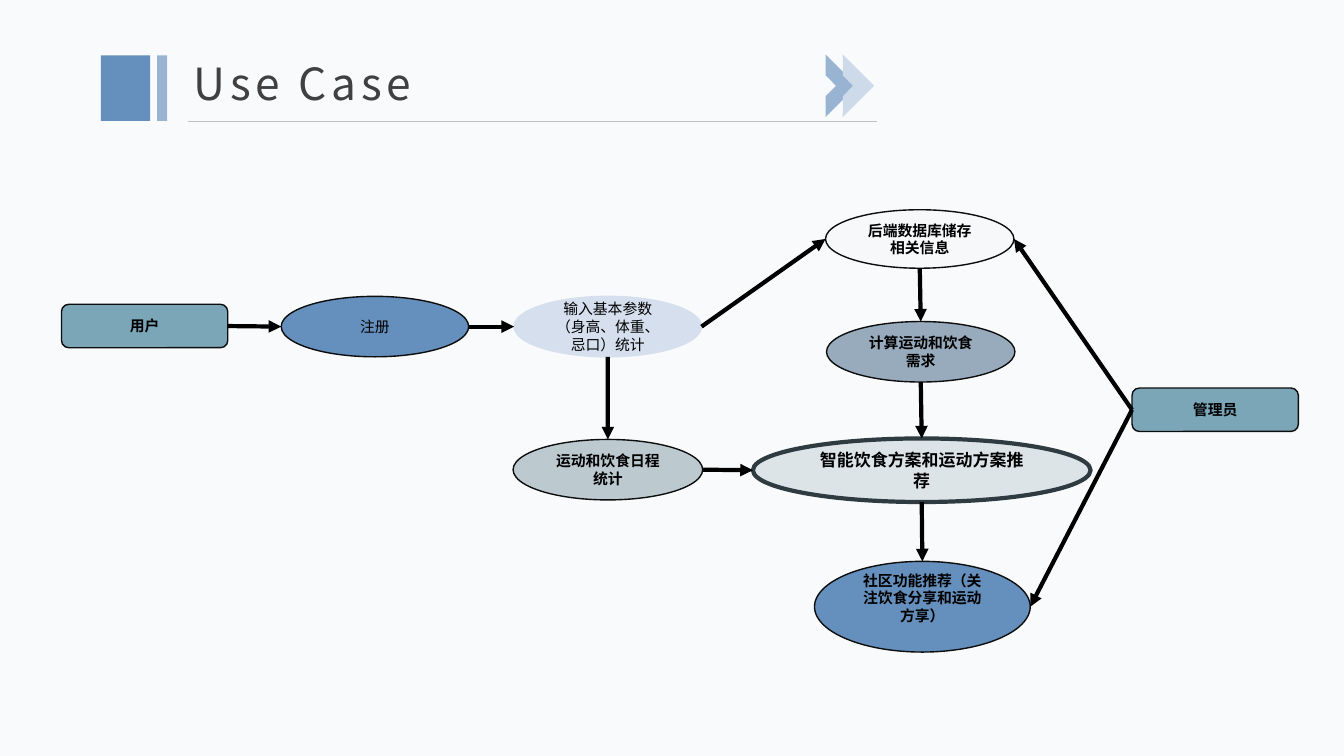
from lxml import etree
from pptx import Presentation
from pptx import util as u
from pptx.dml.color import RGBColor
from pptx.enum import shapes, text
from pptx.oxml import ns

Pt = u.Pt
KIND = shapes.MSO_SHAPE
BACK = RGBColor(0xF9, 0xFA, 0xFB)
BLUE = RGBColor(0x65, 0x8F, 0xBC)
SOFT = RGBColor(0x98, 0xB4, 0xD2)
PALE = RGBColor(0xCC, 0xDA, 0xE9)
LILAC = RGBColor(0xD5, 0xDF, 0xED)
TEAL = RGBColor(0x7A, 0xA6, 0xB8)
STEEL = RGBColor(0x97, 0xAB, 0xBD)
MIST = RGBColor(0xBC, 0xCA, 0xD0)
ICE = RGBColor(0xDD, 0xE4, 0xE8)
WHITE = RGBColor(0xF6, 0xF8, 0xFA)
SLATE = RGBColor(0x2E, 0x3C, 0x42)
EDGE = RGBColor(0x0D, 0x0D, 0x0D)
BLACK = RGBColor(0, 0, 0)
GREY = RGBColor(0x40, 0x40, 0x40)
RULE = RGBColor(0xBF, 0xBF, 0xBF)
CJK = "Noto Sans CJK SC"


def write(frame, words, size=10.6, font="Calibri", color=BLACK, bold=False,
          align=text.PP_ALIGN.CENTER, space=0):
    frame.vertical_anchor = text.MSO_ANCHOR.MIDDLE
    para = frame.paragraphs[0]
    para.alignment = align
    run = para.add_run()
    run.text = words
    run.font.size = Pt(size)
    run.font.bold = bold
    run.font.color.rgb = color
    run.font.name = font
    props = run._r.get_or_add_rPr()
    etree.SubElement(props, ns.qn("a:ea"), typeface=CJK)
    if space:
        props.set("spc", str(int(space * 100)))


def draw(slide, kind, x, y, w, h, fill, edge=None, thick=1):
    shape = slide.shapes.add_shape(kind, Pt(x), Pt(y), Pt(w), Pt(h))
    shape.shadow.inherit = False
    shape.fill.solid()
    shape.fill.fore_color.rgb = fill
    if edge is None:
        shape.line.fill.background()
    else:
        shape.line.color.rgb = edge
        shape.line.width = Pt(thick)
    return shape


def link(slide, start, end, color=BLACK, thick=3, arrow=True):
    line = slide.shapes.add_connector(shapes.MSO_CONNECTOR.STRAIGHT, *start, *end)
    line.line.color.rgb = color
    line.line.width = Pt(thick)
    if arrow:
        etree.SubElement(line.line._get_or_add_ln(), ns.qn("a:tailEnd"), type="triangle")
    etree.SubElement(line._element.spPr, ns.qn("a:effectLst"))
    return line


def side(shape, num):
    """Middle of a side: 0 top, 1 left, 2 bottom, 3 right."""
    across, down = ((1, 0), (0, 1), (1, 2), (2, 1))[num]
    return (shape.left + shape.width * across // 2,
            shape.top + shape.height * down // 2)


def header(slide, x, y, w, h):
    # Bars on the left
    draw(slide, KIND.RECTANGLE, x, y, 35.3, h, BLUE)
    draw(slide, KIND.RECTANGLE, x + 40.3, y, 7.2, h, SOFT)
    # Chevrons on the right
    for shift, fill in ((52.6, SOFT), (40.3, PALE)):
        mark = draw(slide, KIND.HALF_FRAME, x + w - shift, y + 5.8, 31.7, 31.7, fill)
        mark.rotation = 135
    # Rule under the title
    link(slide, (Pt(x + 62), Pt(y + h)), (Pt(x + w), Pt(y + h)), RULE, 0.5, False)
    # Title
    title = slide.shapes.title
    title.left, title.top = Pt(x + 62), Pt(y - 1.4)
    title.width, title.height = Pt(172.8), Pt(42.5)
    frame = title.text_frame
    frame.word_wrap = False
    frame.auto_size = text.MSO_AUTO_SIZE.NONE
    frame.margin_left = frame.margin_right = Pt(4.5)
    frame.margin_top = frame.margin_bottom = Pt(2.2)
    write(frame, "Use Case", size=31.6, font=CJK, color=GREY,
          align=text.PP_ALIGN.LEFT, space=3.3)


def flow(slide, x, y):
    def node(words, left, top, w, h, fill, edge=EDGE, thick=1, size=10.6,
             bold=True, kind=KIND.OVAL):
        shape = draw(slide, kind, x + left, y + top, w, h, fill, edge, thick)
        shape.text_frame.word_wrap = True
        write(shape.text_frame, words, size=size, bold=bold)
        return shape

    def actor(words, left, top):
        return node(words, left, top, 118.8, 31, TEAL, kind=KIND.ROUNDED_RECTANGLE)

    # Actors
    user = actor("用户", 0, 67.6)
    admin = actor("管理员", 764.7, 127.4)

    # Use cases
    join = node("注册", 157, 61.9, 133.9, 43.2, BLUE, bold=False)
    enter = node("输入基本参数（身高、体重、忌口）统计", 323.3, 61.9, 133.9, 43.2,
                 LILAC, edge=LILAC, bold=False)
    plan = node("运动和饮食日程统计", 322.6, 164.1, 135.4, 43.2, MIST)
    store = node("后端数据库储存相关信息", 545.8, 0, 134.6, 41.8, WHITE)
    needs = node("计算运动和饮食需求", 546.5, 79.9, 134.6, 43.2, STEEL)
    advice = node("智能饮食方案和运动方案推荐", 493.9, 163.4, 241.2, 45.4, ICE,
                  edge=SLATE, thick=3, size=12.1)
    share = node("社区功能推荐（关注饮食分享和运动方享）", 537.9, 251.2, 154.1, 64.8, BLUE)
    share.text_frame.margin_bottom = Pt(16)

    # Arrows
    for tail, out, head, into in (
            (user, 3, join, 1), (join, 3, enter, 1), (enter, 3, store, 1),
            (enter, 2, plan, 0), (plan, 3, advice, 1), (store, 2, needs, 0),
            (needs, 2, advice, 0), (advice, 2, share, 0),
            (admin, 1, store, 3), (admin, 1, share, 3)):
        line = link(slide, side(tail, out), side(head, into))
        if tail in (user, admin):
            line.begin_connect(tail, out)


def main():
    deck = Presentation()
    deck.slide_width, deck.slide_height = Pt(960), Pt(540)
    slide = deck.slides.add_slide(deck.slide_layouts[5])
    slide.background.fill.solid()
    slide.background.fill.fore_color.rgb = BACK
    header(slide, 72, 39.6, 554.4, 46.8)
    flow(slide, 43.9, 149.8)
    deck.save("out.pptx")


if __name__ == "__main__":
    main()
